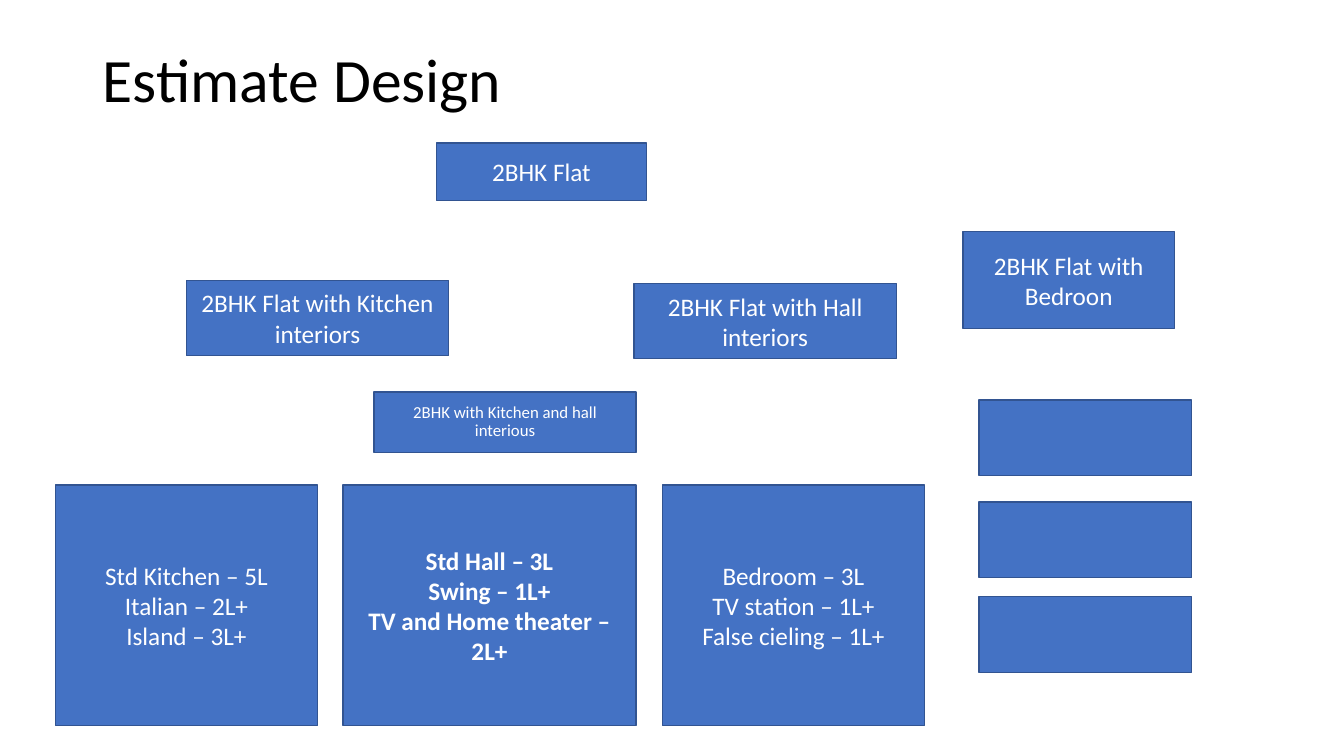
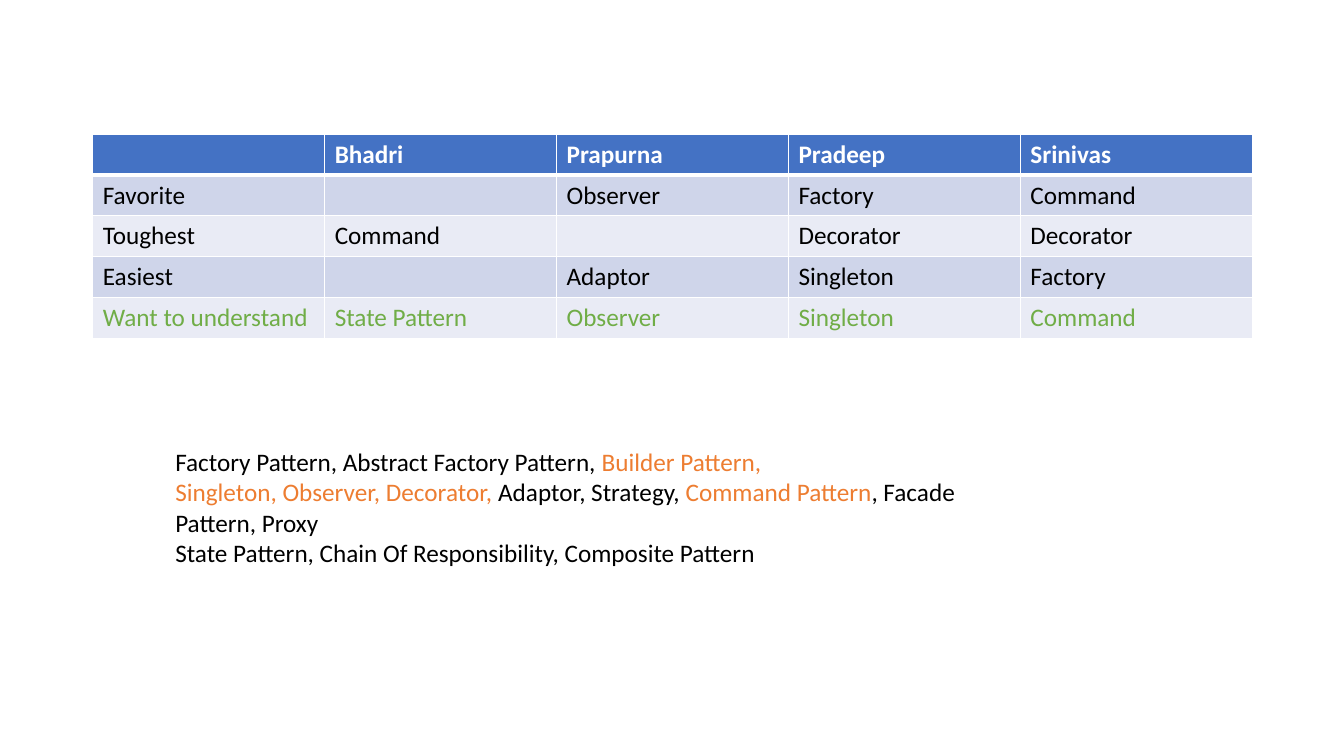
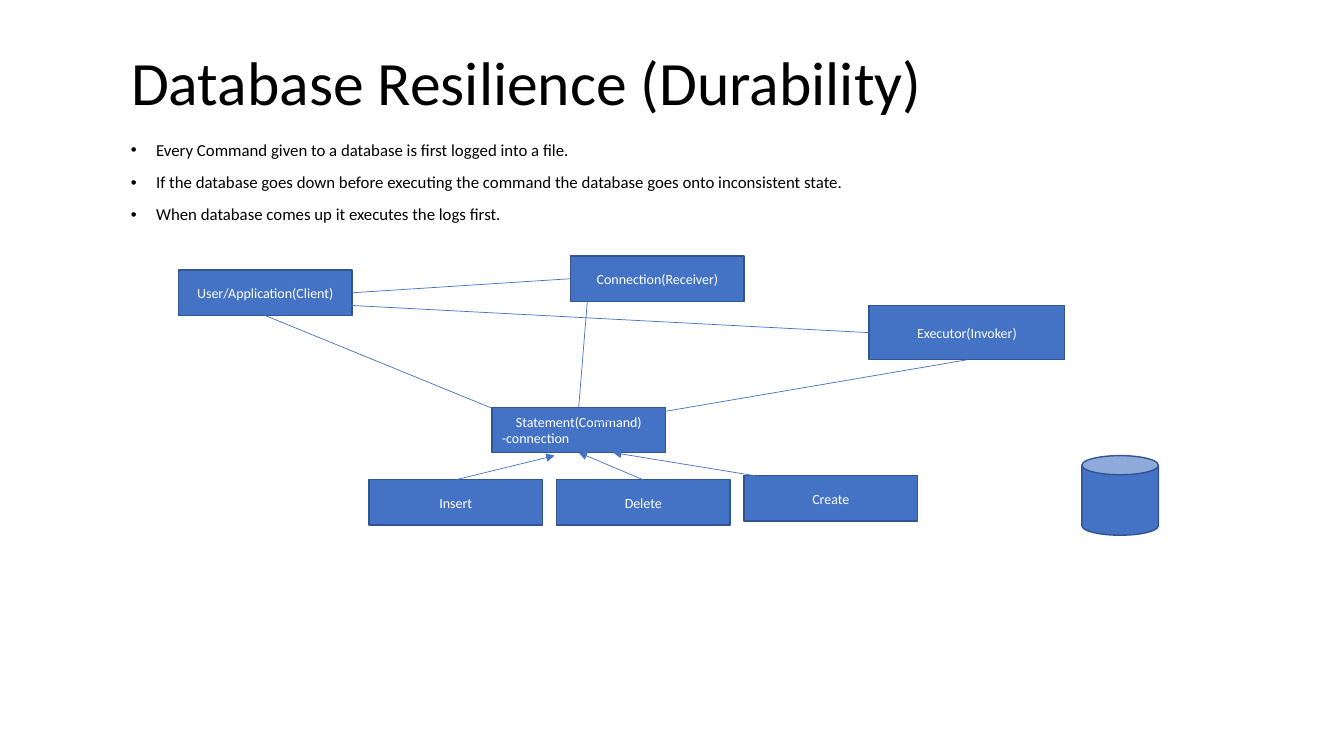
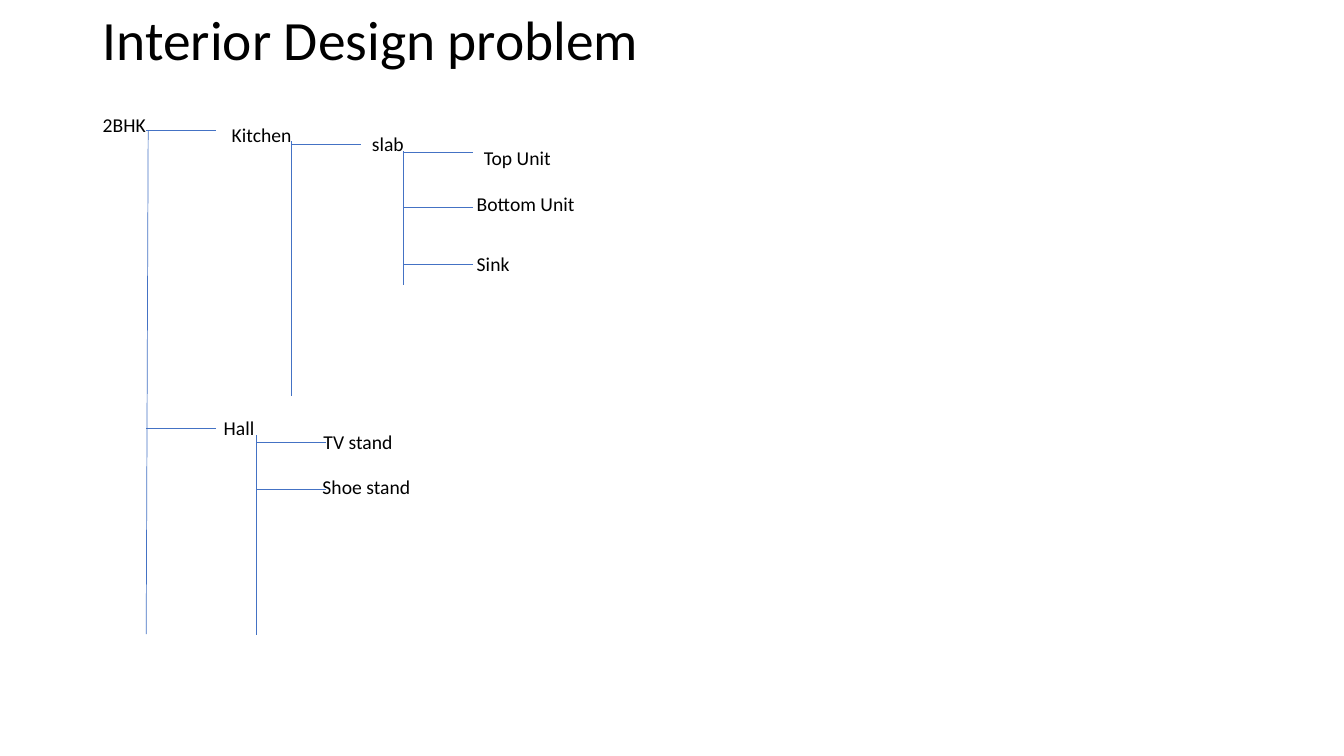
from lxml import etree
from pptx import Presentation
from pptx.dml.color import RGBColor
from pptx.enum.shapes import MSO_CONNECTOR, MSO_SHAPE
from pptx.enum.text import MSO_ANCHOR, MSO_AUTO_SIZE, PP_ALIGN
from pptx.oxml.ns import qn
from pptx.util import Inches, Pt

RECTANGLE, CAN = MSO_SHAPE.RECTANGLE, MSO_SHAPE.CAN
STRAIGHT = MSO_CONNECTOR.STRAIGHT
LEFT, CENTER = PP_ALIGN.LEFT, PP_ALIGN.CENTER
TOP, MIDDLE = MSO_ANCHOR.TOP, MSO_ANCHOR.MIDDLE
NO_AUTO_SIZE = MSO_AUTO_SIZE.NONE

FONT = "Calibri"
BLACK = RGBColor(0x00, 0x00, 0x00)
WHITE = RGBColor(0xFF, 0xFF, 0xFF)
BLUE = RGBColor(0x44, 0x72, 0xC4)
DARK_BLUE = RGBColor(0x32, 0x54, 0x91)
DARK_BAND = RGBColor(0xCF, 0xD5, 0xEA)
LIGHT_BAND = RGBColor(0xE9, 0xEB, 0xF5)
GREEN = RGBColor(0x70, 0xAD, 0x47)
ORANGE = RGBColor(0xED, 0x7D, 0x31)

BOTTOM_SITE, LEFT_SITE, RIGHT_SITE, TOP_SITE = 2, 1, 3, 0


def write(frame, paragraphs, size=18, color=BLACK, bold=False, align=LEFT,
          anchor=TOP, line_spacing=1.0, space_before=0, bullet=False):
    """Fill a text frame; a paragraph is a string or a list of (text, color) runs."""
    frame.word_wrap = True
    frame.auto_size = NO_AUTO_SIZE
    frame.vertical_anchor = anchor
    for index, content in enumerate(paragraphs):
        paragraph = frame.add_paragraph() if index else frame.paragraphs[0]
        if bullet:
            add_bullet(paragraph)
        paragraph.alignment = align
        paragraph.line_spacing = line_spacing
        paragraph.space_before = Pt(space_before if index else 0)
        runs = [(content, color)] if isinstance(content, str) else content
        for text, run_color in runs:
            run = paragraph.add_run()
            run.text = text
            run.font.name = FONT
            run.font.size = Pt(size)
            run.font.bold = bold
            run.font.color.rgb = run_color


def add_bullet(paragraph):
    properties = paragraph._p.get_or_add_pPr()
    properties.set("marL", str(Inches(0.25)))
    properties.set("indent", str(Inches(-0.25)))
    etree.SubElement(properties, qn("a:buFont"), typeface="Arial")
    etree.SubElement(properties, qn("a:buChar"), char="•")


def add_cell_borders(cell, bottom_width):
    properties = cell._tc.get_or_add_tcPr()
    for side, width in (("L", 1), ("R", 1), ("T", 1), ("B", bottom_width)):
        line = etree.SubElement(properties, qn(f"a:ln{side}"), w=str(Pt(width)))
        fill = etree.SubElement(line, qn("a:solidFill"))
        etree.SubElement(fill, qn("a:srgbClr"), val=str(WHITE))


class Deck:
    """Holds the presentation, its style and the slide being built."""

    def __init__(self):
        self.presentation = Presentation()
        self.presentation.slide_width = Inches(13.33)
        self.presentation.slide_height = Inches(7.5)
        self.slide = None

    def new_slide(self, title=None, left=0.92, top=0.4, height=0.84, size=44):
        layout = self.presentation.slide_layouts[5 if title else 6]
        self.slide = self.presentation.slides.add_slide(layout)
        if title:
            shape = self.slide.shapes.title
            shape.left, shape.top = Inches(left), Inches(top)
            shape.width, shape.height = Inches(11.5), Inches(height)
            write(shape.text_frame, [title], size=size, anchor=MIDDLE, line_spacing=0.9)

    def box(self, left, top, width, height, *lines, kind=RECTANGLE, **text_format):
        shape = self.slide.shapes.add_shape(
            kind, Inches(left), Inches(top), Inches(width), Inches(height))
        shape.shadow.inherit = False
        shape.fill.solid()
        shape.fill.fore_color.rgb = BLUE
        shape.line.color.rgb = DARK_BLUE
        shape.line.width = Pt(1)
        write(shape.text_frame, lines, color=WHITE, align=CENTER, anchor=MIDDLE, **text_format)
        return shape

    def text(self, left, top, width, height, *lines, **text_format):
        shape = self.slide.shapes.add_textbox(
            Inches(left), Inches(top), Inches(width), Inches(height))
        write(shape.text_frame, lines, **text_format)

    def line(self, begin, end, arrow=False):
        """Draw a line; each end is a point (x, y) or a joint (shape, site)."""
        connector = self.slide.shapes.add_connector(STRAIGHT, 0, 0, 0, 0)
        if isinstance(begin[0], (int, float)):
            connector.begin_x, connector.begin_y = map(Inches, begin)
        else:
            connector.begin_connect(*begin)
        if isinstance(end[0], (int, float)):
            connector.end_x, connector.end_y = map(Inches, end)
        else:
            connector.end_connect(*end)
        connector.line.color.rgb = BLUE
        connector.line.width = Pt(0.5)
        if arrow:
            etree.SubElement(connector.line._get_or_add_ln(), qn("a:tailEnd"), type="triangle")
        etree.SubElement(connector._element.spPr, qn("a:effectLst"))

    def table(self, left, top, column_width, row_height, rows):
        """Draw a banded table with a header row and a highlighted last row."""
        columns = len(rows[0])
        table = self.slide.shapes.add_table(
            len(rows), columns, Inches(left), Inches(top),
            Inches(column_width * columns), Inches(row_height * len(rows))).table
        table.horz_banding = False
        for row_index, row in enumerate(rows):
            header = row_index == 0
            band = BLUE if header else DARK_BAND if row_index % 2 else LIGHT_BAND
            color = WHITE if header else GREEN if row is rows[-1] else BLACK
            for column_index, value in enumerate(row):
                cell = table.cell(row_index, column_index)
                add_cell_borders(cell, 3 if header else 1)
                cell.fill.solid()
                cell.fill.fore_color.rgb = band
                if value:
                    write(cell.text_frame, [value], color=color, bold=header)


def build_estimate(deck):
    deck.new_slide("Estimate Design")
    deck.box(4.33, 1.42, 2.08, 0.57, "2BHK Flat")
    for top in (3.97, 4.98, 5.92):
        deck.box(9.71, top, 2.11, 0.75)
    deck.box(1.85, 2.78, 2.6, 0.75, "2BHK Flat with Kitchen interiors")
    deck.box(6.29, 2.81, 2.6, 0.75, "2BHK Flat with Hall interiors")
    deck.box(9.55, 2.3, 2.1, 0.96, "2BHK Flat with Bedroon")
    deck.box(3.71, 3.89, 2.6, 0.6, "2BHK with Kitchen and hall interious",
             size=12, line_spacing=0.9)
    rooms = (
        (0.55, 2.6, False, ("Std Kitchen – 5L", "Italian – 2L+", "Island – 3L+")),
        (3.4, 2.91, True, ("Std Hall – 3L", "Swing – 1L+", "TV and Home theater – 2L+")),
        (6.57, 2.6, False, ("Bedroom – 3L", "TV station – 1L+", "False cieling – 1L+")),
    )
    for left, width, bold, lines in rooms:
        deck.box(left, 4.81, width, 2.39, *lines, bold=bold)


def build_patterns(deck):
    deck.new_slide()
    deck.table(0.92, 1.33, 2.3, 0.406, (
        ("", "Bhadri", "Prapurna", "Pradeep", "Srinivas"),
        ("Favorite", "", "Observer", "Factory", "Command"),
        ("Toughest", "Command", "", "Decorator", "Decorator"),
        ("Easiest", "", "Adaptor", "Singleton", "Factory"),
        ("Want to understand", "State Pattern", "Observer", "Singleton", "Command"),
    ))
    deck.text(
        1.64, 4.38, 8.61, 1.31,
        [("Factory Pattern, Abstract Factory Pattern, ", BLACK), ("Builder Pattern,", ORANGE)],
        [("Singleton, Observer, Decorator,", ORANGE), (" Adaptor, Strategy, ", BLACK),
         ("Command Pattern", ORANGE), (", Facade Pattern, Proxy", BLACK)],
        "State Pattern, Chain Of Responsibility, Composite Pattern")


def build_resilience(deck):
    deck.new_slide("Database Resilience (Durability)", left=1.2, top=0.41, height=0.87)
    deck.text(
        1.2, 1.36, 11.22, 1.09,
        "Every Command given to a database is first logged into a file.",
        "If the database goes down before executing the command the database goes onto "
        "inconsistent state.",
        "When database comes up it executes the logs first.",
        size=12, line_spacing=0.9, space_before=10, bullet=True)

    def role(left, top, *lines, width=1.72, height=0.45):
        return deck.box(left, top, width, height, *lines, size=10)

    client = role(1.77, 2.68, "User/Application(Client)")
    statement = role(4.88, 4.04, "Statement(Command)", "-connection")
    statement.text_frame.paragraphs[1].alignment = LEFT
    insert = role(3.66, 4.76, "Insert")
    delete = role(5.52, 4.76, "Delete")
    role(7.38, 4.72, "Create")
    connection = role(5.66, 2.54, "Connection(Receiver)")
    executor = role(8.62, 3.03, "Executor(Invoker)", width=1.94, height=0.54)

    deck.line((client, BOTTOM_SITE), (4.88, 4.05))
    deck.line((client, RIGHT_SITE), (connection, LEFT_SITE))
    deck.line((statement, TOP_SITE), (5.83, 2.93))
    deck.line((5.9, 4.2), (executor, BOTTOM_SITE))
    deck.line((3.48, 3.03), (executor, LEFT_SITE))
    deck.line((insert, TOP_SITE), (5.5, 4.52), arrow=True)
    deck.line((delete, TOP_SITE), (statement, BOTTOM_SITE), arrow=True)
    deck.line((7.49, 4.72), (6.08, 4.49), arrow=True)
    deck.box(10.73, 4.52, 0.76, 0.79, kind=CAN)


def build_interior(deck):
    deck.new_slide("Interior Design problem", top=0.07, height=0.7, size=39.6)
    deck.text(0.92, 1.1, 11.5, 5.66, "2BHK", size=14, line_spacing=0.9)

    trunks = (
        ((1.47, 1.29), (1.45, 6.29)),
        ((2.89, 1.4), (2.89, 3.93)),
        ((4, 1.5), (4, 2.83)),
        ((2.54, 4.32), (2.54, 6.3)),
    )
    for begin, end in trunks:
        deck.line(begin, end)

    branches = (
        (1.45, 1.29), (1.45, 4.25), (2.89, 1.43),
        (4, 1.51), (4, 2.06), (4, 2.62), (2.54, 4.39), (2.54, 4.85),
    )
    for left, height in branches:
        deck.line((left, height), (left + 0.69, height))

    labels = (
        ("Kitchen", 2.2, 1.17, 0.91),
        ("slab", 3.59, 1.26, 0.63),
        ("Top Unit", 4.7, 1.4, 0.97),
        ("Bottom Unit", 4.63, 1.86, 1.25),
        ("Sink", 4.63, 2.45, 1.11),
        ("Hall", 2.12, 4.08, 0.63),
        ("TV stand", 3.11, 4.22, 0.89),
        ("Shoe stand", 3.1, 4.66, 1.18),
    )
    for label, left, top, width in labels:
        deck.text(left, top, width, 0.34, label, size=14)


def main():
    deck = Deck()
    build_estimate(deck)
    build_patterns(deck)
    build_resilience(deck)
    build_interior(deck)
    deck.presentation.save("out.pptx")


if __name__ == "__main__":
    main()
